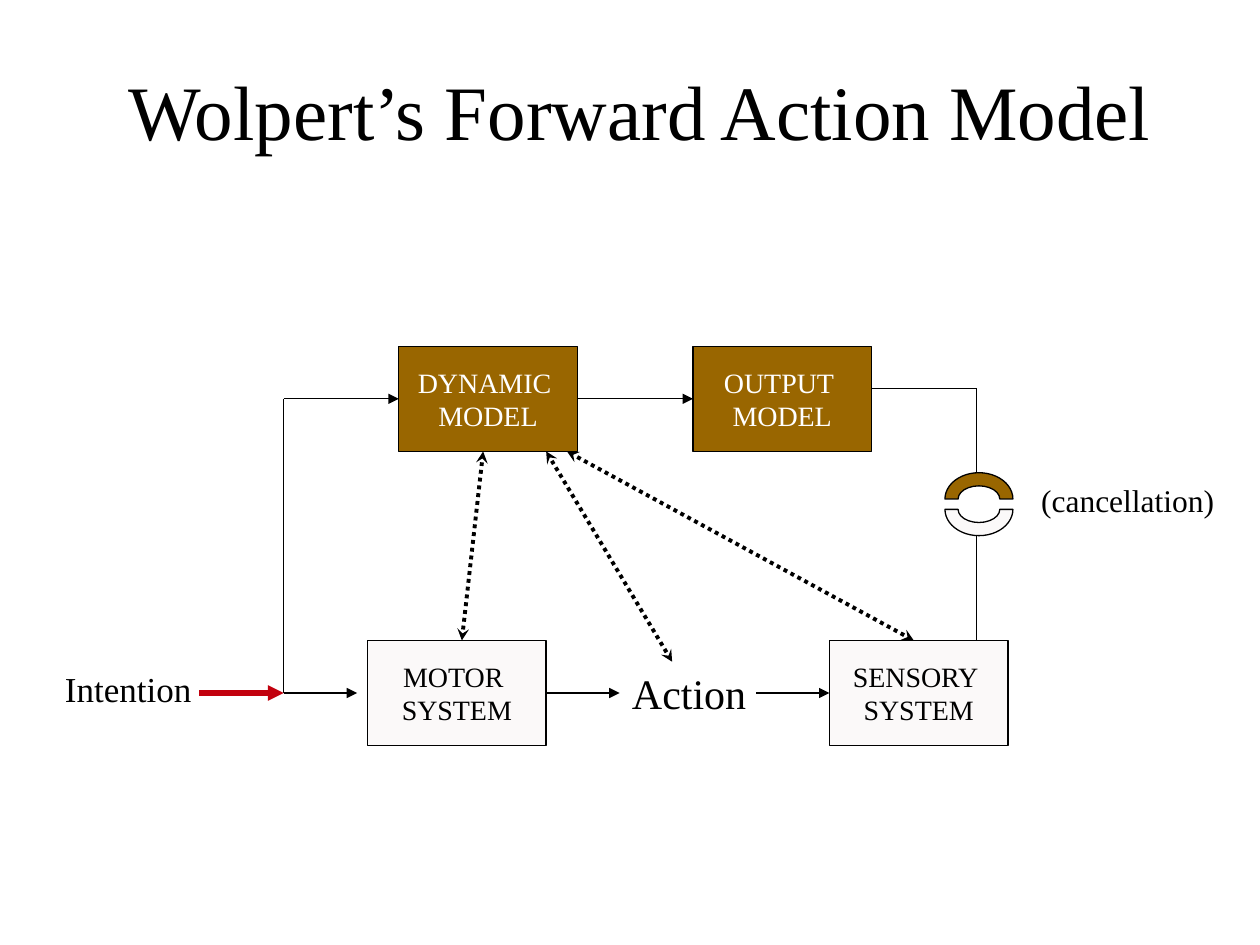
from lxml import etree
from pptx import Presentation
from pptx import util as u
from pptx.dml.color import RGBColor
from pptx.enum import dml, shapes, text
from pptx.oxml.ns import qn

FONT = "Times New Roman"
BLACK, WHITE, RED = "000000", "FFFFFF", "C2010E"
BROWN, PALE = "996600", "FBF9F9"
BOX_W, BOX_H = 3.6, 2.12
MODEL_TOP, SYSTEM_TOP = 6.98, 12.91
MODEL_BOTTOM = MODEL_TOP + BOX_H
MODEL_AXIS, SYSTEM_AXIS = 8.04, 13.97
DYNAMIC_X, OUTPUT_X, MOTOR_X, SENSORY_X = 8.04, 13.97, 7.41, 16.72
BRANCH_X, CANCEL_X, OUTPUT_EXIT = 5.72, 19.69, 7.83


def colour(hex_value):
    return RGBColor.from_string(hex_value)


def set_all(target, values):
    for name, value in values.items():
        setattr(target, name, value)


def place(element, left, top, width, height):
    box = {"left": left, "top": top, "width": width, "height": height}
    set_all(element, {name: u.Cm(value) for name, value in box.items()})


def write(element, words, size, ink, align, **frame_format):
    frame = element.text_frame
    frame.text = words
    set_all(frame, frame_format)
    paragraph = frame.paragraphs[0]
    paragraph.alignment = align
    for run in paragraph.runs:
        set_all(run.font, {"name": FONT, "size": u.Pt(size)})
        run.font.color.rgb = colour(ink)


def add_filled(slide, preset, area, fill):
    shape = slide.shapes.add_shape(preset, *map(u.Cm, area))
    shape.shadow.inherit = False
    shape.fill.solid()
    shape.fill.fore_color.rgb = colour(fill)
    shape.line.color.rgb = colour(BLACK)
    shape.line.width = u.Pt(0.75)
    return shape


def add_stage(slide, words, left, top, fill, ink):
    stage = add_filled(slide, shapes.MSO_SHAPE.RECTANGLE, (left, top, BOX_W, BOX_H), fill)
    write(stage, words, 16, ink, text.PP_ALIGN.CENTER,
          word_wrap=False, vertical_anchor=text.MSO_ANCHOR.MIDDLE)


def add_label(slide, words, area, size, wrap=False):
    label = slide.shapes.add_textbox(*map(u.Cm, area))
    write(label, words, size, BLACK, text.PP_ALIGN.LEFT,
          word_wrap=wrap, auto_size=text.MSO_AUTO_SIZE.SHAPE_TO_FIT_TEXT)


def add_line(slide, start, end, ink=BLACK, width=0.75, dash=None, head=None, tail=None):
    line = slide.shapes.add_connector(
        shapes.MSO_CONNECTOR.STRAIGHT, *map(u.Cm, (*start, *end)))
    line.line.color.rgb = colour(ink)
    set_all(line.line, {"width": u.Pt(width), "dash_style": dash})
    outline = line.line._get_or_add_ln()
    for end_tag, arrow in (("a:headEnd", head), ("a:tailEnd", tail)):
        if arrow:
            etree.SubElement(outline, qn(end_tag), type=arrow)
    etree.SubElement(line._element.spPr, qn("a:effectLst"))


def add_feedback(slide, start, end):
    add_line(slide, start, end, width=2.25, dash=dml.MSO_LINE.ROUND_DOT,
             head="stealth", tail="stealth")


def add_arc(slide, top, fill, flipped=False):
    arc = add_filled(slide, shapes.MSO_SHAPE.BLOCK_ARC, (19.05, top, 1.37, 1.06), fill)
    for index, value in enumerate((108, 0, 0.25)):
        arc.adjustments[index] = value
    if flipped:
        arc._element.spPr.xfrm.set("flipV", "1")


def main():
    deck = Presentation()
    set_all(deck, {"slide_width": u.Cm(25.4), "slide_height": u.Cm(19.05)})
    slide = deck.slides.add_slide(deck.slide_layouts[5])

    title = slide.shapes.title
    place(title, 0.42, 0.42, 24.97, 3.6)
    write(title, "Wolpert’s Forward Action Model", 44, BLACK, text.PP_ALIGN.CENTER,
          word_wrap=True, vertical_anchor=text.MSO_ANCHOR.MIDDLE)

    for words, left, top, fill, ink in (
        ("MOTOR \vSYSTEM", MOTOR_X, SYSTEM_TOP, PALE, BLACK),
        ("SENSORY \vSYSTEM", SENSORY_X, SYSTEM_TOP, PALE, BLACK),
        ("DYNAMIC \vMODEL", DYNAMIC_X, MODEL_TOP, BROWN, WHITE),
        ("OUTPUT \vMODEL", OUTPUT_X, MODEL_TOP, BROWN, WHITE),
    ):
        add_stage(slide, words, left, top, fill, ink)

    for start_x, end_x, axis in (
        (BRANCH_X, 7.2, SYSTEM_AXIS),
        (MOTOR_X + BOX_W, 12.49, SYSTEM_AXIS),
        (15.24, SENSORY_X, SYSTEM_AXIS),
        (BRANCH_X, DYNAMIC_X, MODEL_AXIS),
        (DYNAMIC_X + BOX_W, OUTPUT_X, MODEL_AXIS),
    ):
        add_line(slide, (start_x, axis), (end_x, axis), tail="triangle")

    for start, end in (
        ((BRANCH_X, SYSTEM_AXIS), (BRANCH_X, MODEL_AXIS)),
        ((OUTPUT_X + BOX_W, OUTPUT_EXIT), (CANCEL_X, OUTPUT_EXIT)),
        ((CANCEL_X, OUTPUT_EXIT), (CANCEL_X, 9.53)),
        ((CANCEL_X, SYSTEM_TOP), (CANCEL_X, 10.8)),
    ):
        add_line(slide, start, end)

    add_line(slide, (4.02, SYSTEM_AXIS), (BRANCH_X, SYSTEM_AXIS),
             ink=RED, width=3, tail="triangle")

    add_arc(slide, 9.53, BROWN)
    add_arc(slide, 9.74, PALE, flipped=True)

    for start, model_x in (
        ((13.55, 13.34), 11.01),
        ((18.42, SYSTEM_TOP), 11.43),
        ((9.31, SYSTEM_TOP), 9.74),
    ):
        add_feedback(slide, start, (model_x, MODEL_BOTTOM))

    add_label(slide, "Action", (12.49, 13.34, 2.82, 1.27), 24)
    add_label(slide, "Intention", (1.06, 13.34, 3.18, 1.12), 20, wrap=True)
    add_label(slide, "(cancellation)", (20.74, 9.58, 3.99, 1.02), 18)

    deck.save("out.pptx")


if __name__ == "__main__":
    main()
